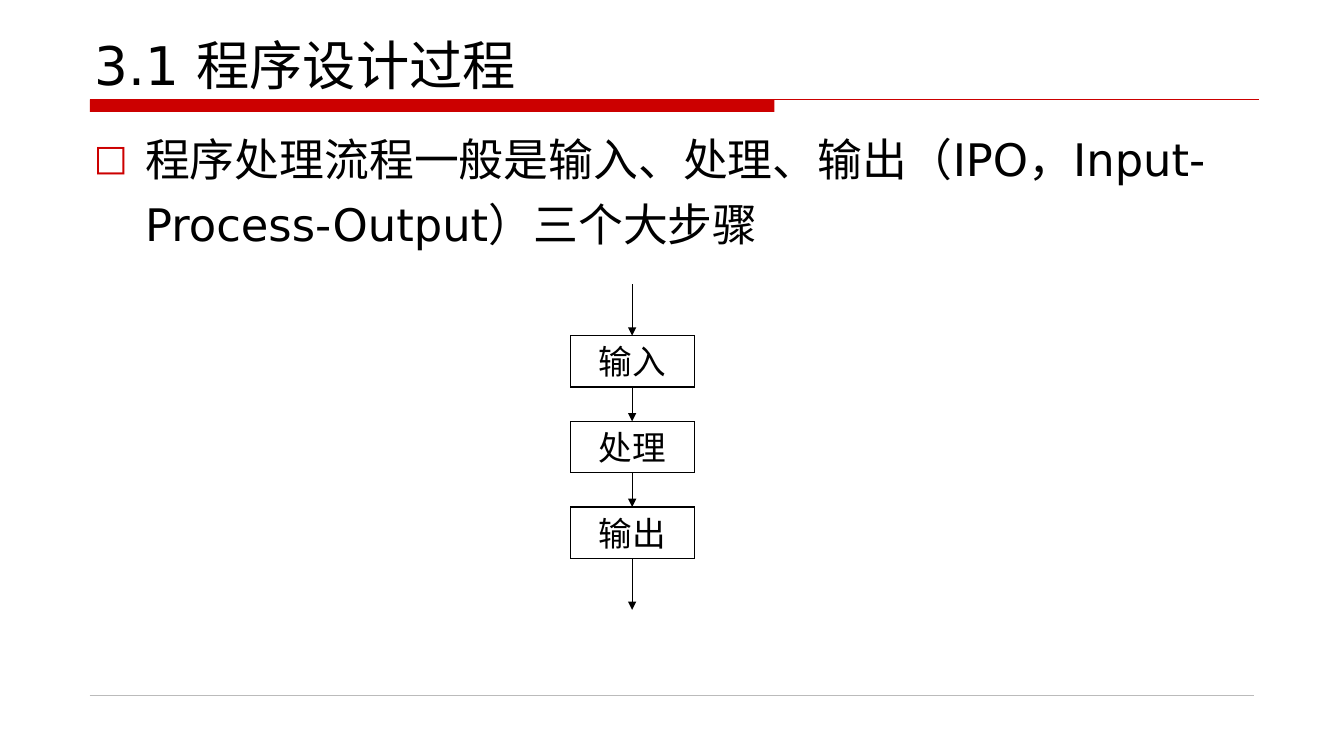
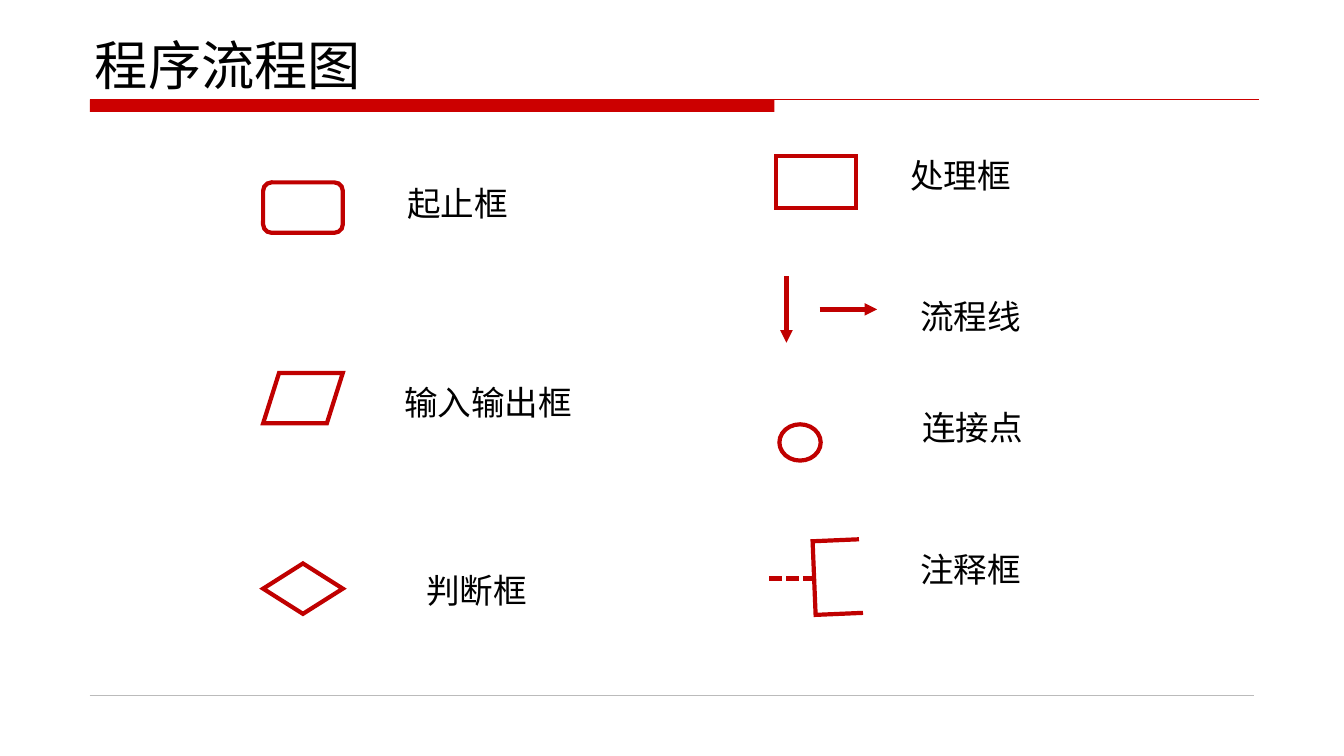
from lxml import etree
from pptx import Presentation
from pptx.dml.color import RGBColor
from pptx.enum.dml import MSO_LINE
from pptx.enum.shapes import MSO_CONNECTOR, MSO_SHAPE
from pptx.enum.text import MSO_ANCHOR, MSO_AUTO_SIZE, PP_ALIGN
from pptx.oxml.ns import qn
from pptx.util import Inches, Pt

STRAIGHT = MSO_CONNECTOR.STRAIGHT
RECTANGLE = MSO_SHAPE.RECTANGLE
TERMINAL = MSO_SHAPE.FLOWCHART_ALTERNATE_PROCESS
DATA = MSO_SHAPE.FLOWCHART_DATA
DECISION = MSO_SHAPE.FLOWCHART_DECISION
PROCESS = MSO_SHAPE.FLOWCHART_PROCESS
JUNCTION = MSO_SHAPE.FLOWCHART_CONNECTOR
DASHED = MSO_LINE.SQUARE_DOT
LEFT, CENTER = PP_ALIGN.LEFT, PP_ALIGN.CENTER
TOP, MIDDLE, BOTTOM = MSO_ANCHOR.TOP, MSO_ANCHOR.MIDDLE, MSO_ANCHOR.BOTTOM
NO_FIT, GROW = MSO_AUTO_SIZE.NONE, MSO_AUTO_SIZE.SHAPE_TO_FIT_TEXT

RED = RGBColor(0xCC, 0x00, 0x00)
DARK_RED = RGBColor(0xC0, 0x00, 0x00)
GRAY = RGBColor(0xBB, 0xBB, 0xBB)
BLACK = RGBColor(0x00, 0x00, 0x00)
WHITE = RGBColor(0xFF, 0xFF, 0xFF)
SANS, BOX_FONT = "DejaVu Sans", "Calibri"

WIDTH, HEIGHT = 13.33, 7.5
MARGIN, RULE_TOP, FOOTER_TOP = 0.89, 0.99, 6.9
TITLE_AREA = (0.84, 0.21, 11.67, 0.79)
BODY_AREA = (0.83, 1.15, 11.67, 5.71)

IPO_TITLE = "3.1 程序设计过程"
IPO_TEXT = "程序处理流程一般是输入、处理、输出（IPO，Input-Process-Output）三个大步骤"
IPO_STEPS = ["输入", "处理", "输出"]

SYMBOLS_TITLE = "程序流程图"
SYMBOLS = [
    (TERMINAL, (2.61, 1.81, 0.79, 0.5)),
    (DATA, (2.61, 3.7, 0.79, 0.5)),
    (DECISION, (2.61, 5.59, 0.79, 0.5)),
    (PROCESS, (7.7, 1.55, 0.79, 0.51)),
    (JUNCTION, (7.73, 4.21, 0.41, 0.36)),
]
FLOW_LINES = [(7.8, 2.74, 7.8, 3.4), (8.13, 3.07, 8.7, 3.07)]
NOTE_STEM = (7.63, 5.74, 8.07, 5.74)
NOTE_BRACKET = [(8.52, 5.35), (8.06, 5.37), (8.09, 6.1), (8.56, 6.08)]
SYMBOL_LABELS = [
    ("起止框", 3.94, 1.77),
    ("输入输出框", 3.91, 3.74),
    ("判断框", 4.13, 5.6),
    ("处理框", 8.93, 1.49),
    ("流程线", 9.03, 2.89),
    ("连接点", 9.05, 3.99),
    ("注释框", 9.03, 5.4),
]
LABEL_WIDTH, LABEL_HEIGHT = 1.99, 0.5


def inches(values):
    return [Inches(value) for value in values]


def place(holder, area):
    holder.left, holder.top, holder.width, holder.height = inches(area)


def write(holder, text, size, font=SANS, align=LEFT, anchor=TOP, fit=NO_FIT):
    frame = holder.text_frame
    frame.text = text
    frame.word_wrap = True
    frame.auto_size = fit
    frame.vertical_anchor = anchor
    paragraph = frame.paragraphs[0]
    paragraph.alignment = align
    paragraph.space_before = Pt(0)
    for run in paragraph.runs:
        run.font.name = font
        run.font.size = Pt(size)
        run.font.color.rgb = BLACK
    return paragraph


def connect(slide, ends, color, weight, arrow=False, dash=None):
    line = slide.shapes.add_connector(STRAIGHT, *inches(ends))
    line.line.color.rgb = color
    line.line.width = Pt(weight)
    if dash:
        line.line.dash_style = dash
    properties = line.element.spPr
    if arrow:
        etree.SubElement(properties.find(qn("a:ln")), qn("a:tailEnd"), type="triangle")
    etree.SubElement(properties, qn("a:effectLst"))


def outline(shape, color, weight, fill=None):
    shape.shadow.inherit = False
    if fill is None:
        shape.fill.background()
    else:
        shape.fill.solid()
        shape.fill.fore_color.rgb = fill
    shape.line.color.rgb = color
    shape.line.width = Pt(weight)
    etree.SubElement(shape.element.spPr.find(qn("a:ln")), qn("a:miter"), lim="800000")


def start_slide(deck, layout, title):
    slide = deck.slides.add_slide(deck.slide_layouts.get_by_name(layout))
    band = slide.shapes.add_shape(RECTANGLE, *inches((MARGIN, RULE_TOP, 6.79, 0.12)))
    band.shadow.inherit = False
    band.fill.solid()
    band.fill.fore_color.rgb = RED
    band.line.fill.background()
    connect(slide, (MARGIN, RULE_TOP, 12.49, RULE_TOP), RED, 0.75)
    connect(slide, (MARGIN, FOOTER_TOP, 12.44, FOOTER_TOP), GRAY, 0.25)
    place(slide.shapes.title, TITLE_AREA)
    write(slide.shapes.title, title, 38, anchor=BOTTOM)
    return slide


def add_bullet(paragraph):
    properties = paragraph._p.get_or_add_pPr()
    indent = Inches(0.51)
    properties.set("marL", str(indent))
    properties.set("indent", str(-indent))
    color = etree.SubElement(properties, qn("a:buClr"))
    etree.SubElement(color, qn("a:srgbClr"), val=str(RED))
    etree.SubElement(properties, qn("a:buSzPct"), val="80000")
    etree.SubElement(properties, qn("a:buFont"), typeface=SANS)
    etree.SubElement(properties, qn("a:buChar"), char="□")


def build_ipo(deck):
    slide = start_slide(deck, "Title and Content", IPO_TITLE)
    body = slide.placeholders[1]
    place(body, BODY_AREA)
    paragraph = write(body, IPO_TEXT, 32)
    paragraph.line_spacing = 1.2
    add_bullet(paragraph)

    axis, top, width, height, gap, lead = 6.27, 3.33, 1.23, 0.51, 0.34, 0.51
    connect(slide, (axis, top - lead, axis, top), BLACK, 0.75, arrow=True)
    for index, step in enumerate(IPO_STEPS):
        step_top = top + index * (height + gap)
        area = (axis - width / 2, step_top, width, height)
        box = slide.shapes.add_shape(RECTANGLE, *inches(area))
        outline(box, BLACK, 0.75, WHITE)
        write(box, step, 24, BOX_FONT, CENTER, MIDDLE)
        bottom = step_top + height
        length = lead if step == IPO_STEPS[-1] else gap
        connect(slide, (axis, bottom, axis, bottom + length), BLACK, 0.75, arrow=True)


def build_symbols(deck):
    slide = start_slide(deck, "Title Only", SYMBOLS_TITLE)
    for kind, area in SYMBOLS:
        outline(slide.shapes.add_shape(kind, *inches(area)), DARK_RED, 3)
    for ends in FLOW_LINES:
        connect(slide, ends, DARK_RED, 3, arrow=True)
    connect(slide, NOTE_STEM, DARK_RED, 3, dash=DASHED)
    first, *rest = [inches(point) for point in NOTE_BRACKET]
    bracket = slide.shapes.build_freeform(*first)
    bracket.add_line_segments(rest, close=False)
    outline(bracket.convert_to_shape(), DARK_RED, 3)
    for text, left, top in SYMBOL_LABELS:
        area = (left, top, LABEL_WIDTH, LABEL_HEIGHT)
        write(slide.shapes.add_textbox(*inches(area)), text, 24, fit=GROW)


def main():
    deck = Presentation()
    deck.slide_width, deck.slide_height = inches((WIDTH, HEIGHT))
    build_ipo(deck)
    build_symbols(deck)
    deck.save("out.pptx")


if __name__ == "__main__":
    main()
